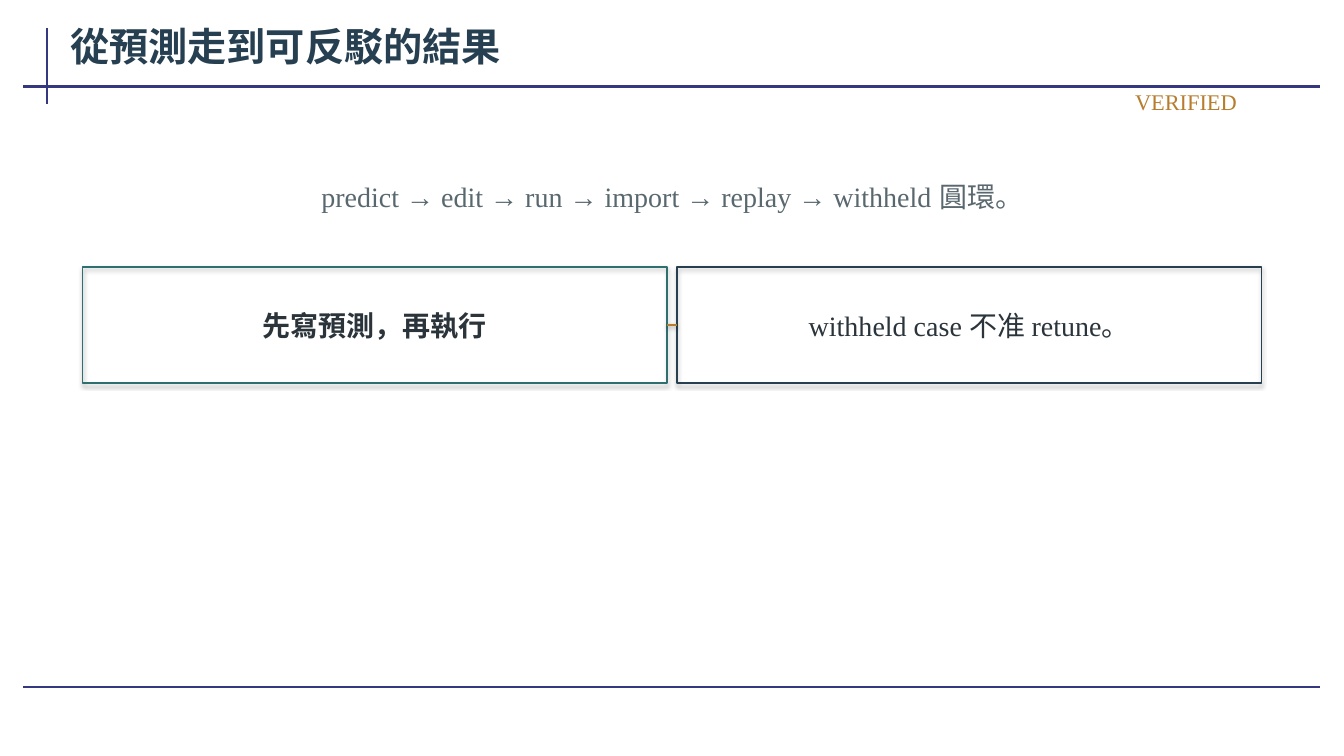
from dataclasses import dataclass

from lxml.etree import SubElement
from pptx import Presentation
from pptx.dml.color import RGBColor as Rgb
from pptx.enum.shapes import MSO_CONNECTOR as Link, MSO_SHAPE as Form
from pptx.enum.text import MSO_ANCHOR as Anchor, MSO_AUTO_SIZE as Fit, PP_ALIGN as Align
from pptx.oxml.ns import qn
from pptx.shapes.autoshape import Shape
from pptx.shapes.connector import Connector
from pptx.slide import Slide
from pptx.util import Cm, Pt


@dataclass(frozen=True)
class Theme:
    """Colours, font and sizes of the slide."""
    font: str = "Times New Roman"
    rule: str = "35377F"
    navy: str = "263F51"
    teal: str = "2F6F70"
    gold: str = "B77D2D"
    ink: str = "2A343A"
    grey: str = "59686F"
    head: float = 28
    body: float = 20
    tag: float = 16
    thick: float = 1.5
    thin: float = 1.2


@dataclass(frozen=True)
class Box:
    """A frame in centimetres."""
    left: float
    top: float
    width: float
    height: float

    def inset(self, dx: float, dy: float) -> "Box":
        """Return the frame shrunk on every side."""
        return Box(self.left + dx, self.top + dy,
                   self.width - 2 * dx, self.height - 2 * dy)

    def sides(self) -> tuple[Cm, Cm, Cm, Cm]:
        """Return the frame as lengths."""
        return Cm(self.left), Cm(self.top), Cm(self.width), Cm(self.height)


@dataclass(frozen=True)
class Rule:
    """A straight line of the page frame, in centimetres."""
    x1: float
    y1: float
    x2: float
    y2: float


@dataclass(frozen=True)
class Card:
    """An outlined step with its wording."""
    text: str
    edge: str
    bold: bool


THEME = Theme()
RULES = (
    Rule(1.19, 0.71, 1.19, 2.62),
    Rule(0.58, 2.18, 33.27, 2.18),
    Rule(0.58, 17.32, 33.27, 17.32),
)
CARDS = (
    Card("先寫預測，再執行", THEME.teal, True),
    Card("withheld case 不准 retune。", THEME.navy, False),
)
FIRST = Box(2.08, 6.73, 14.73, 2.92)
GAP = 0.25


def write(slide: Slide, text: str, box: Box, *, size: float = THEME.body,
          color: str = THEME.ink, bold: bool = False,
          align: Align = Align.CENTER, fit: Fit = Fit.SHAPE_TO_FIT_TEXT) -> None:
    """Place one line of formatted text."""
    frame = slide.shapes.add_textbox(*box.sides()).text_frame
    frame.word_wrap = True
    frame.auto_size = fit
    frame.vertical_anchor = Anchor.MIDDLE
    frame.margin_left = frame.margin_right = Cm(0.2)
    frame.margin_top = frame.margin_bottom = Cm(0.1)
    para = frame.paragraphs[0]
    para.alignment = align
    run = para.add_run()
    run.text = text
    run.font.name = THEME.font
    run.font.size = Pt(size)
    run.font.bold = bold
    run.font.color.rgb = Rgb.from_string(color)


def stroke(item: Shape | Connector, color: str, width: float) -> None:
    """Set the colour and width of a line."""
    item.line.color.rgb = Rgb.from_string(color)
    item.line.width = Pt(width)


def draw_rule(slide: Slide, rule: Rule) -> None:
    """Draw a flat line of the page frame."""
    line = slide.shapes.add_connector(
        Link.STRAIGHT, Cm(rule.x1), Cm(rule.y1), Cm(rule.x2), Cm(rule.y2))
    stroke(line, THEME.rule, THEME.thick)
    SubElement(line.element.spPr, qn("a:effectLst"))


def draw_card(slide: Slide, card: Card, box: Box) -> Shape:
    """Draw a step with the theme shadow and return its outline."""
    shape = slide.shapes.add_shape(Form.RECTANGLE, *box.sides())
    shape.fill.background()
    stroke(shape, card.edge, THEME.thin)
    write(slide, card.text, box.inset(0.13, 0.25), bold=card.bold)
    return shape


def join(slide: Slide, start: Shape, end: Shape) -> None:
    """Link two neighbouring steps from right side to left side."""
    line = slide.shapes.add_connector(Link.STRAIGHT, 0, 0, 0, 0)
    line.begin_connect(start, 3)
    line.end_connect(end, 1)
    stroke(line, THEME.gold, THEME.thin)


def main() -> None:
    """Build the slide and save it."""
    deck = Presentation()
    deck.slide_width, deck.slide_height = Cm(33.87), Cm(19.05)
    slide = deck.slides.add_slide(deck.slide_layouts[6])
    for rule in RULES:
        draw_rule(slide, rule)
    write(slide, "從預測走到可反駁的結果", Box(1.57, 0.38, 31.72, 1.57),
          size=THEME.head, color=THEME.navy, bold=True, align=Align.LEFT,
          fit=Fit.NONE)
    step = FIRST.width + GAP
    shapes = [
        draw_card(slide, card, Box(FIRST.left + i * step, FIRST.top,
                                   FIRST.width, FIRST.height))
        for i, card in enumerate(CARDS)
    ]
    for start, end in zip(shapes, shapes[1:]):
        join(slide, start, end)
    write(slide, "predict → edit → run → import → replay → withheld 圓環。",
          Box(2.34, 4.19, 29.21, 1.52), color=THEME.grey)
    write(slide, "VERIFIED", Box(23.24, 2.18, 8.13, 0.76), size=THEME.tag,
          color=THEME.gold, align=Align.RIGHT)
    deck.save("out.pptx")


if __name__ == "__main__":
    main()
